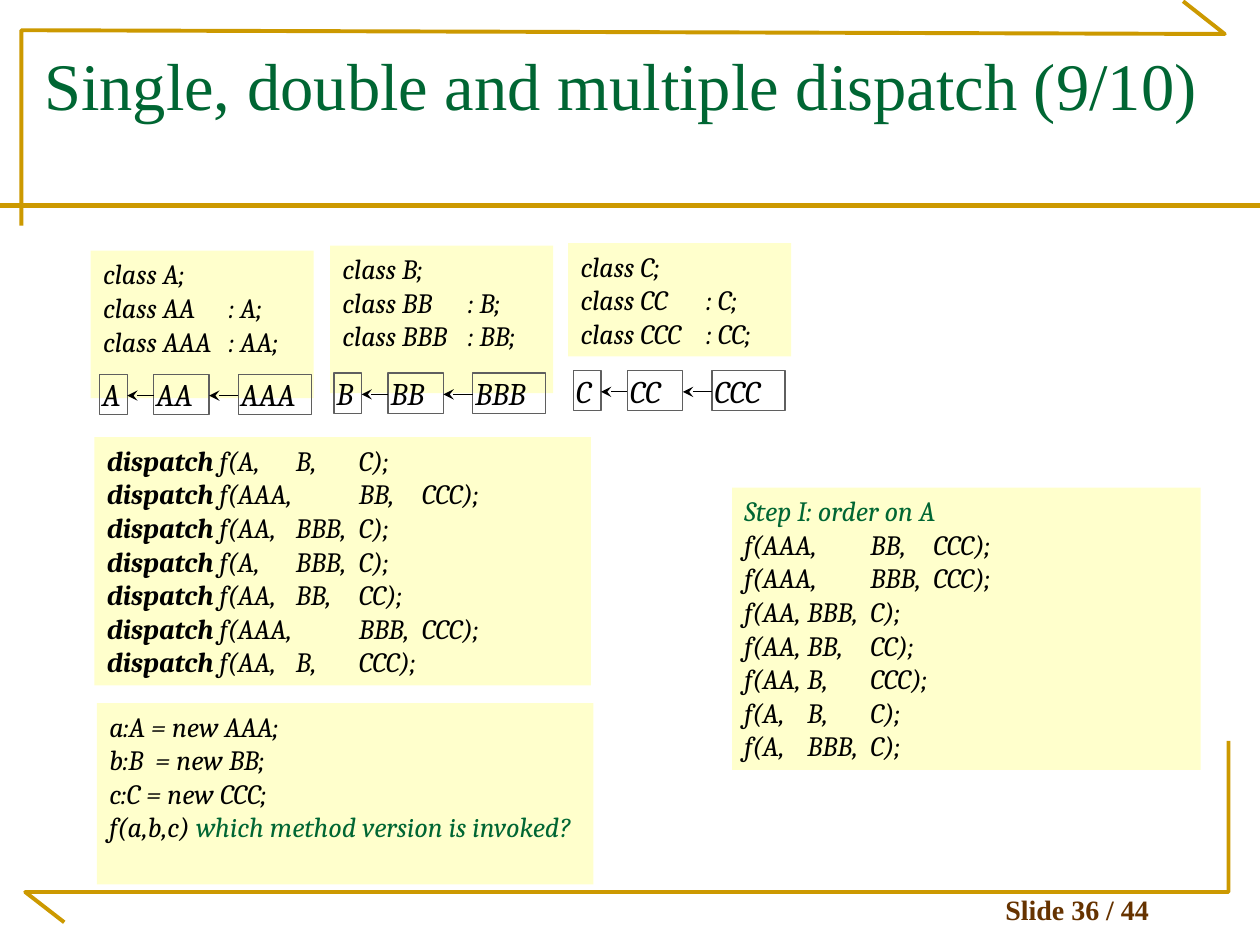
from lxml import etree
from pptx import Presentation
from pptx.dml.color import RGBColor
from pptx.enum.shapes import MSO_CONNECTOR, MSO_SHAPE
from pptx.enum.text import MSO_ANCHOR, MSO_AUTO_SIZE, PP_ALIGN
from pptx.oxml.ns import qn
from pptx.util import Inches, Pt

GREEN, GOLD, BROWN = "006633", "CC9900", "663300"
CREAM, GREY, BLACK = "FFFFCC", "5F5F5F", "000000"


def color(value):
    return RGBColor.from_string(value)


def add_span(para, text, size=16, font="Cambria", ink=BLACK, bold=False, italic=True):
    span = para.add_run()
    span.text = text
    span.font.size = Pt(size)
    span.font.name = font
    span.font.color.rgb = color(ink)
    span.font.bold = bold
    span.font.italic = italic


def set_frame(shape, margins=(0.1, 0.05), anchor=MSO_ANCHOR.TOP):
    frame = shape.text_frame
    frame.word_wrap = True
    frame.auto_size = MSO_AUTO_SIZE.NONE
    frame.vertical_anchor = anchor
    frame.margin_left = frame.margin_right = Inches(margins[0])
    frame.margin_top = frame.margin_bottom = Inches(margins[1])
    return frame


def add_box(shapes, left, top, width, height, lines, fill=None, line=None,
            margins=(0.1, 0.05), size=16):
    """Rectangle with lines of text; each line is a list of (text, format) pairs."""
    box = shapes.add_shape(MSO_SHAPE.RECTANGLE, Inches(left), Inches(top),
                           Inches(width), Inches(height))
    box.shadow.inherit = False
    if fill:
        box.fill.solid()
        box.fill.fore_color.rgb = color(fill)
    else:
        box.fill.background()
    if line:
        box.line.color.rgb = color(line)
        box.line.width = Pt(0.75)
    else:
        box.line.fill.background()
    frame = set_frame(box, margins)
    for index, spans in enumerate(lines):
        para = frame.add_paragraph() if index else frame.paragraphs[0]
        para.alignment = PP_ALIGN.LEFT
        for text, style in spans:
            add_span(para, text, **{"size": size, **style})


def add_line(shapes, start, end, ink=BLACK, width=0.75, arrow=False):
    points = [Inches(value) for value in (*start, *end)]
    line = shapes.add_connector(MSO_CONNECTOR.STRAIGHT, *points)
    line.line.color.rgb = color(ink)
    line.line.width = Pt(width)
    if arrow:
        etree.SubElement(line.line._get_or_add_ln(), qn("a:tailEnd"), type="stealth")
    etree.SubElement(line._element.spPr, qn("a:effectLst"))


def add_frame_line(shapes, left, top, points):
    """Open gold outline, with points relative to its left and top."""
    corners = [(Inches(left + x), Inches(top + y)) for x, y in points]
    builder = shapes.build_freeform(*corners[0])
    builder.add_line_segments(corners[1:], close=False)
    outline = builder.convert_to_shape()
    outline.shadow.inherit = False
    outline.fill.background()
    outline.line.color.rgb = color(GOLD)
    outline.line.width = Pt(2.25)


def add_decoration(shapes):
    add_frame_line(shapes, 0.17, 0.01, [(0, 1.78), (0, 0.23), (9.55, 0.26), (9.22, 0)])
    add_frame_line(shapes, 0.2, 5.88, [(0.31, 1.44), (0, 1.2), (9.55, 1.2), (9.55, 0)])
    add_line(shapes, (0, 1.63), (10, 1.63), ink=GOLD, width=3)


def add_footer(shapes, left, top, width, height):
    box = shapes.add_textbox(Inches(left), Inches(top), Inches(width), Inches(height))
    para = set_frame(box, anchor=MSO_ANCHOR.BOTTOM).paragraphs[0]
    para.alignment = PP_ALIGN.CENTER
    add_span(para, "Slide 36 / 44", font="Times New Roman", ink=BROWN,
             bold=True, italic=False)


def place_title(title, left, top, width, height):
    title.left, title.top = Inches(left), Inches(top)
    title.width, title.height = Inches(width), Inches(height)
    para = set_frame(title).paragraphs[0]
    para.alignment = PP_ALIGN.LEFT
    add_span(para, "Single, double and multiple dispatch (9/10)", size=38,
             font="Times New Roman", ink=GREEN, italic=False)


def add_chain(shapes, left, top, letter):
    """Three class boxes, each pointing at its base class."""
    right = None
    for count, (offset, width) in enumerate([(0, 0.22), (0.43, 0.44), (1.1, 0.58)], 1):
        x = left + offset
        add_box(shapes, x, top, width, 0.32, [[(letter * count, {})]],
                line=GREY, margins=(0.02, 0.01), size=18)
        if right is not None:
            add_line(shapes, (x, top + 0.17), (right, top + 0.17), arrow=True)
        right = x + width


def add_family(slide, left, top, height, letter, chain_left, chain_top):
    """Class declarations with their inheritance chain."""
    shapes = slide.shapes.add_group_shape().shapes
    one, two, three = (letter * count for count in (1, 2, 3))
    declarations = [f"class {one};", f"class {two} \t: {one};", f"class {three} \t: {two};"]
    add_box(shapes, left, top, 1.77, height,
            [[(text, {})] for text in declarations], fill=CREAM)
    add_chain(shapes, chain_left, chain_top, letter)


def signature(types):
    first, second, third = types.split()
    return f"f({first}, \t{second}, \t{third});"


def add_dispatch_panel(shapes, left, top, width, height):
    methods = ["A B C", "AAA BB CCC", "AA BBB C", "A BBB C",
               "AA BB CC", "AAA BBB CCC", "AA B CCC"]
    lines = [[("dispatch", {"bold": True}), (" " + signature(types), {})]
             for types in methods]
    add_box(shapes, left, top, width, height, lines, fill=CREAM)


def add_call_panel(shapes, left, top, width, height):
    lines = [[(text, {})] for text in ("a:A = new AAA;", "b:B  = new BB;", "c:C = new CCC;")]
    lines.append([("f(a,b,c) ", {}), ("which method version is invoked?", {"ink": GREEN})])
    add_box(shapes, left, top, width, height, lines, fill=CREAM)


def add_order_panel(shapes, left, top, width, height):
    ordered = ["AAA BB CCC", "AAA BBB CCC", "AA BBB C", "AA BB CC",
               "AA B CCC", "A B C", "A BBB C"]
    lines = [[("Step I: order on A", {"ink": GREEN})]]
    lines += [[(signature(types), {})] for types in ordered]
    add_box(shapes, left, top, width, height, lines, fill=CREAM)


def main():
    deck = Presentation()
    deck.slide_width, deck.slide_height = Inches(10), Inches(7.5)
    slide = deck.slides.add_slide(deck.slide_layouts[5])

    # Frame, footer and title
    add_decoration(slide.shapes)
    add_footer(slide.shapes, 7.37, 7.07, 2.36, 0.33)
    place_title(slide.shapes.title, 0.25, 0.3, 9.42, 1.25)

    # Class families
    add_family(slide, 0.72, 1.99, 1.17, "A", 0.79, 2.97)
    add_family(slide, 2.62, 1.95, 1.17, "B", 2.65, 2.96)
    add_family(slide, 4.51, 1.93, 0.9, "C", 4.55, 2.94)

    # Methods, call and ordering
    add_dispatch_panel(slide.shapes, 0.75, 3.47, 3.94, 1.97)
    add_call_panel(slide.shapes, 0.77, 5.58, 3.94, 1.44)
    add_order_panel(slide.shapes, 5.81, 3.87, 3.72, 2.24)

    deck.save("out.pptx")


if __name__ == "__main__":
    main()
